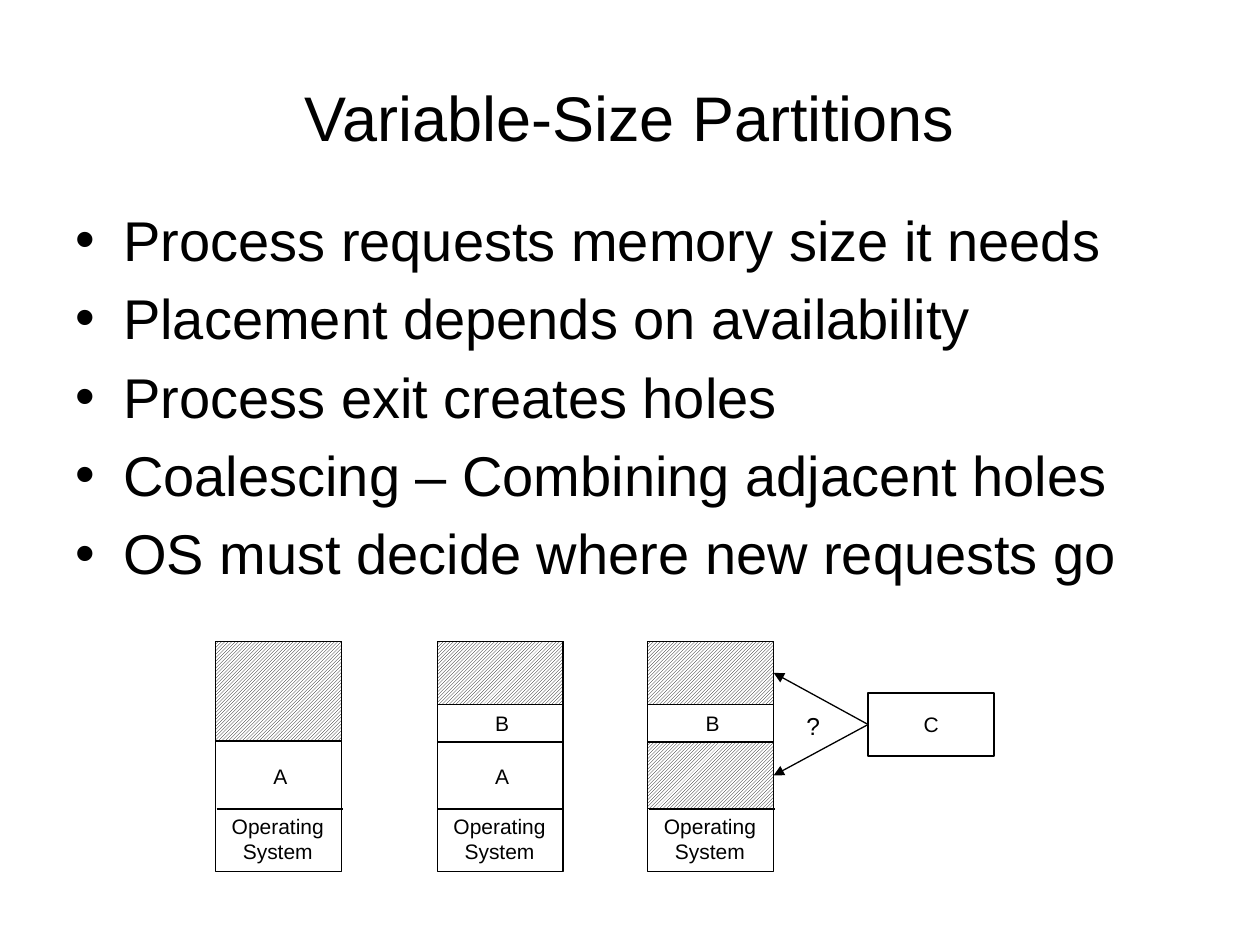
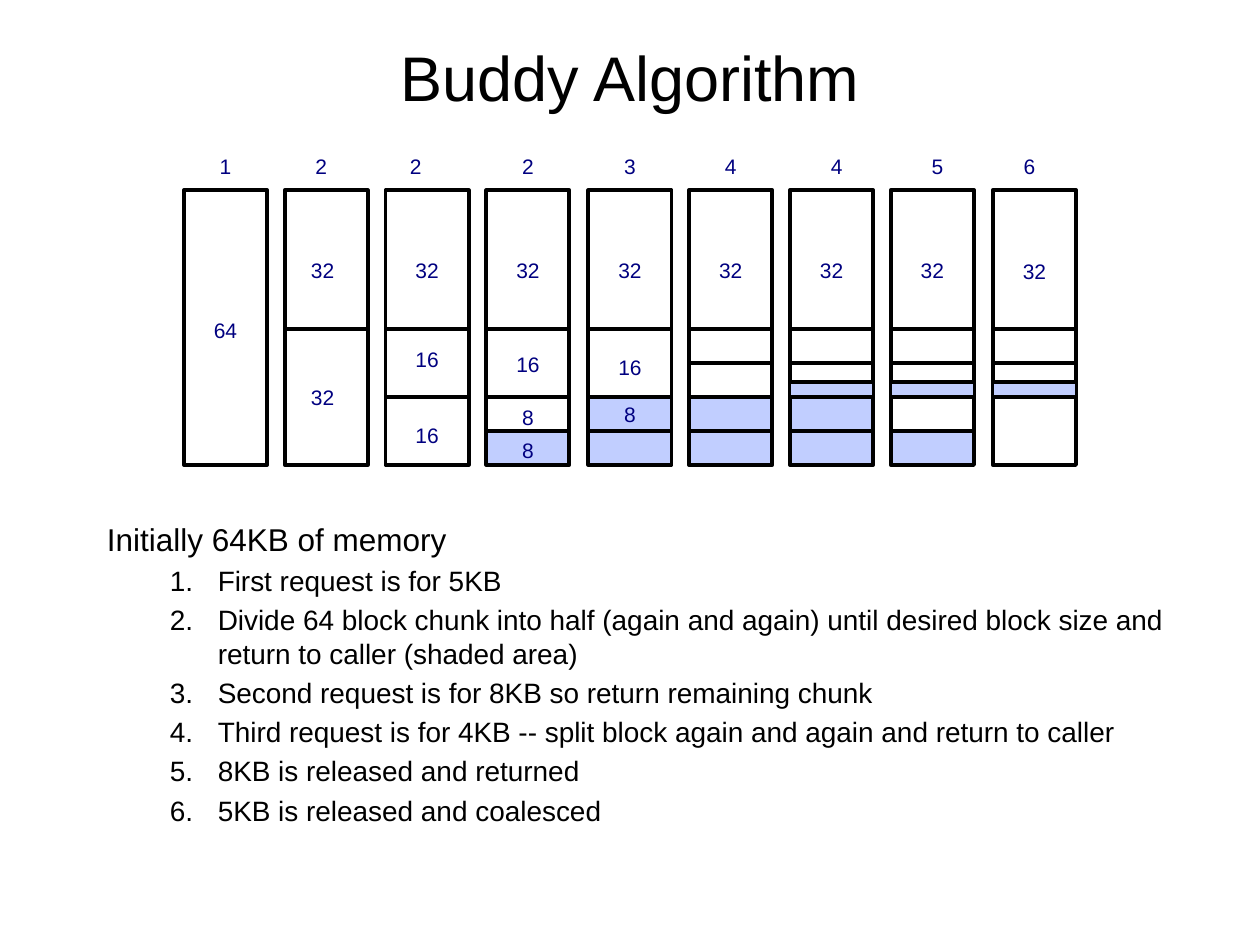
import dataclasses

import pptx
import pptx.dml.color
import pptx.enum.dml
import pptx.enum.shapes
import pptx.enum.text
import pptx.oxml
import pptx.oxml.ns
import pptx.util
from lxml import etree

PX = 9144  # EMU in one px, 100 px to the inch
ALIGN = pptx.enum.text.PP_ALIGN
ANCHOR = pptx.enum.text.MSO_ANCHOR
AUTO_SIZE = pptx.enum.text.MSO_AUTO_SIZE
LEFT_SIDE, RIGHT_SIDE = 1, 3


def rgb(value):
    return pptx.dml.color.RGBColor.from_string(value)


def add_xml(parent, tag, **attributes):
    return etree.SubElement(parent, pptx.oxml.ns.qn(tag), attributes)


@dataclasses.dataclass(frozen=True)
class Theme:
    font: str = "Arial"
    ink: str = "000000"
    paper: str = "FFFFFF"
    navy: str = "000080"
    used: str = "C1CEFF"
    title: int = 36
    body: int = 32
    intro: int = 18
    step: int = 16
    question: int = 14
    label: int = 12
    thin: float = 0.75
    medium: float = 1.5
    thick: float = 2.25


class Deck:
    def __init__(self, theme):
        self.theme = theme
        self.presentation = pptx.Presentation()
        self.presentation.slide_width = 1000 * PX
        self.presentation.slide_height = 750 * PX
        self.slide = None

    def new_slide(self, title, top, height):
        self.slide = self.presentation.slides.add_slide(self.presentation.slide_layouts[6])
        frame = self.text_frame((50, top, 900, height), ANCHOR.MIDDLE)
        self.paragraph(frame, title, self.theme.title, align=ALIGN.CENTER)

    def text_frame(self, box, anchor=ANCHOR.TOP, wrap=True, grow=False):
        frame = self.slide.shapes.add_textbox(*(length * PX for length in box)).text_frame
        frame.word_wrap = wrap
        frame.vertical_anchor = anchor
        frame.auto_size = AUTO_SIZE.SHAPE_TO_FIT_TEXT if grow else AUTO_SIZE.NONE
        return frame

    def paragraph(self, frame, text, size, color=None, align=ALIGN.LEFT):
        paragraph = frame.paragraphs[0]
        if paragraph.runs:
            paragraph = frame.add_paragraph()
        paragraph.alignment = align
        run = paragraph.add_run()
        run.text = text
        run.font.name = self.theme.font
        run.font.size = pptx.util.Pt(size)
        run.font.color.rgb = rgb(color or self.theme.ink)
        return paragraph

    def list_item(self, frame, text, size, margin, hanging, bullet=None, level=0):
        """Add an indented paragraph; bullet is None, "•" or "1."."""
        paragraph = self.paragraph(frame, text, size)
        paragraph.level = level
        properties = paragraph._p.get_or_add_pPr()
        properties.set("marL", str(margin * PX))
        properties.set("indent", str(-hanging * PX))
        add_xml(add_xml(properties, "a:spcBef"), "a:spcPct", val="20000")
        if bullet is None:
            add_xml(properties, "a:buNone")
        elif bullet == "1.":
            add_xml(properties, "a:buFont", typeface="+mj-lt")
            add_xml(properties, "a:buAutoNum", type="arabicPeriod")
        else:
            add_xml(properties, "a:buFont", typeface=self.theme.font)
            add_xml(properties, "a:buChar", char=bullet)

    def label(self, box, *lines, size=None, color=None, anchor=ANCHOR.TOP, wrap=False):
        frame = self.text_frame(box, anchor, wrap, grow=True)
        for line in lines:
            self.paragraph(frame, line, size or self.theme.label, color, ALIGN.CENTER)

    def rectangle(self, box, weight, fill=None, hatched=False):
        shape = self.slide.shapes.add_shape(
            pptx.enum.shapes.MSO_SHAPE.RECTANGLE, *(length * PX for length in box))
        shape.shadow.inherit = False
        shape.line.color.rgb = rgb(self.theme.ink)
        shape.line.width = pptx.util.Pt(weight)
        if hatched:
            shape.fill.patterned()
            shape.fill.pattern = pptx.enum.dml.MSO_PATTERN.DARK_UPWARD_DIAGONAL
            shape.fill.fore_color.rgb = rgb(self.theme.ink)
            shape.fill.back_color.rgb = rgb(self.theme.paper)
        elif fill:
            shape.fill.solid()
            shape.fill.fore_color.rgb = rgb(fill)
        else:
            shape.fill.background()
        return shape

    def line(self, start, end, weight):
        connector = self.slide.shapes.add_connector(
            pptx.enum.shapes.MSO_CONNECTOR.STRAIGHT,
            *(length * PX for length in (*start, *end)))
        connector.line.color.rgb = rgb(self.theme.ink)
        connector.line.width = pptx.util.Pt(weight)
        add_xml(connector.element.spPr, "a:effectLst")
        return connector

    def arrow(self, source, source_side, target, target_side, weight):
        connector = self.line((0, 0), (0, 0), weight)
        connector.begin_connect(source, source_side)
        connector.end_connect(target, target_side)
        outline = connector.element.spPr.find(pptx.oxml.ns.qn("a:ln"))
        add_xml(outline, "a:tailEnd", type="triangle")


# Variable-size partitions: left, holes (top, height), divider, processes (name, top)
PARTITION_BULLETS = (
    "Process requests memory size it needs",
    "Placement depends on availability",
    "Process exit creates holes",
    "Coalescing – Combining adjacent holes",
    "OS must decide where new requests go",
)
MEMORY_TOP, MEMORY_HEIGHT, MEMORY_WIDTH = 509, 183, 100
SYSTEM_TOP, A_TOP = 642, 589
MEMORIES = (
    (171, [(MEMORY_TOP, 79)], None, [("A", 601)]),
    (347, [(MEMORY_TOP, 50)], A_TOP, [("B", 559), ("A", 601)]),
    (514, [(MEMORY_TOP, 50), (A_TOP, 53)], A_TOP, [("B", 559)]),
)


def partitions_slide(deck):
    theme = deck.theme
    deck.new_slide("Variable-Size Partitions", 30, 125)
    frame = deck.text_frame((50, 158, 900, 495))
    for text in PARTITION_BULLETS:
        deck.list_item(frame, text, theme.body, 38, 38, "•")

    # Memory at three moments
    for left, holes, divider, processes in MEMORIES:
        deck.rectangle((left, MEMORY_TOP, MEMORY_WIDTH, MEMORY_HEIGHT), theme.thin)
        deck.label((left + 3, SYSTEM_TOP - 1, 93, 50), "Operating", "System")
        deck.line((left + 1, SYSTEM_TOP), (left + 1 + MEMORY_WIDTH, SYSTEM_TOP), theme.thin)
        if divider:
            deck.line((left, divider), (left + MEMORY_WIDTH, divider), theme.thin)
        hole_shapes = [
            deck.rectangle((left, top, MEMORY_WIDTH, height), theme.thin, hatched=True)
            for top, height in holes]
        for name, top in processes:
            deck.label((left + 36, top, 31, 30), name)

    # The new process may go into either hole of the last memory
    request = deck.rectangle((689, 550, 100, 50), theme.thin)
    deck.label((723, 560, 32, 30), "C")
    for hole in hole_shapes:
        deck.arrow(request, LEFT_SIDE, hole, RIGHT_SIDE, theme.thin)
    deck.label((630, 559, 31, 33), "?", size=theme.question)


# Buddy algorithm: blocks are (size in KB, state), edges are by KB from the top
FREE, USED, SPLIT = "free", "used", "split"
EDGES = {0: 151, 32: 261, 40: 288, 48: 315, 56: 342, 64: 369}
COLUMN_WIDTH = 66
HALF = (32, FREE)
# Step, step label shift, size label shift, blocks, size labels (text, top)
BUDDY_COLUMNS = (
    ("1", 4, 4, [(64, FREE)], [("64", 247)]),
    ("2", 0, 1, [HALF, HALF], [("32", 199), ("32", 300)]),
    ("2", -5, 4, [HALF, (16, FREE), (16, FREE)], [("32", 199), ("16", 270), ("16", 330)]),
    ("2", 4, 4, [HALF, (16, FREE), (8, FREE), (8, USED)],
     [("32", 199), ("16", 274), ("8", 316), ("8", 342)]),
    ("3", 4, 4, [HALF, (16, FREE), (8, USED), (8, USED)],
     [("32", 199), ("16", 276), ("8", 314)]),
    ("4", 4, 4, [HALF, (8, FREE), (8, FREE), (8, USED), (8, USED)], [("32", 199)]),
    ("4", 8, 4, [HALF, (8, FREE), (8, SPLIT), (8, USED), (8, USED)], [("32", 199)]),
    ("5", 8, 4, [HALF, (8, FREE), (8, SPLIT), (8, FREE), (8, USED)], [("32", 199)]),
    ("6", 0, 4, [HALF, (8, FREE), (8, SPLIT), (16, FREE)], [("32", 200)]),
)
BUDDY_STEPS = (
    "First request is for 5KB",
    "Divide 64 block chunk into half (again and again) until desired block size "
    "and return to caller (shaded area)",
    "Second request is for 8KB so return remaining chunk",
    "Third request is for 4KB -- split block again and again and return to caller",
    "8KB is released and returned",
    "5KB is released and coalesced",
)


def buddy_block(deck, left, offset, size, state):
    theme = deck.theme
    top, bottom = EDGES[offset], EDGES[offset + size]
    deck.rectangle((left, top, COLUMN_WIDTH, bottom - top), theme.thick,
                   theme.used if state == USED else None)
    if state == SPLIT:
        middle = top + 15
        deck.line((left, middle), (left + COLUMN_WIDTH, middle), theme.thick)
        deck.rectangle((left, middle + 1, COLUMN_WIDTH, 12), theme.medium, theme.used)


def buddy_slide(deck):
    theme = deck.theme
    deck.new_slide("Buddy Algorithm", 17, 87)
    frame = deck.text_frame((75, 408, 892, 300))
    deck.list_item(frame, "Initially 64KB of memory", theme.intro, 42, 42)
    for text in BUDDY_STEPS:
        deck.list_item(frame, text, theme.step, 88, 38, "1.", level=1)

    # Memory columns, one for each split or release
    for index, (step, step_shift, size_shift, blocks, sizes) in enumerate(BUDDY_COLUMNS):
        left = 146 + 321 * index // 4
        offset = 0
        for size, state in blocks:
            buddy_block(deck, left, offset, size, state)
            offset += size
        labels = [(step, step_shift, 117)] + [(text, size_shift, top) for text, top in sizes]
        for text, shift, top in labels:
            deck.label((left + shift, top, 58, 30), text, color=theme.navy,
                       anchor=ANCHOR.BOTTOM, wrap=True)


def main():
    deck = Deck(Theme())
    partitions_slide(deck)
    buddy_slide(deck)
    deck.presentation.save("out.pptx")


if __name__ == "__main__":
    main()
